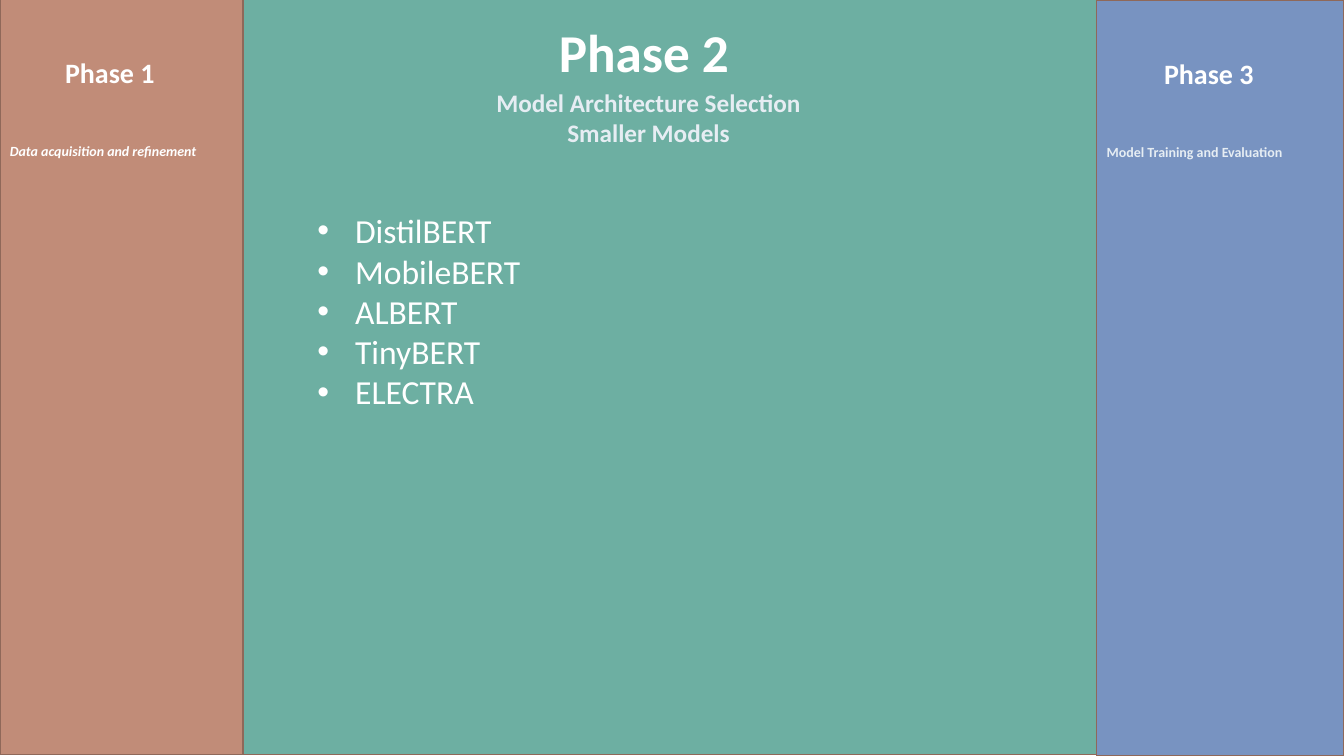
import pptx
import pptx.util
import pptx.dml.color
import pptx.enum.shapes
import pptx.enum.text
import pptx.oxml.ns
from lxml import etree

Cm, Pt = pptx.util.Cm, pptx.util.Pt
RGBColor = pptx.dml.color.RGBColor
ALIGN = pptx.enum.text.PP_ALIGN
FONT = "Calibri"

CLAY = RGBColor(0xC1, 0x8C, 0x78)
TEAL = RGBColor(0x6D, 0xAF, 0xA2)
BLUE = RGBColor(0x78, 0x93, 0xC1)
OUTLINE = RGBColor(0x8F, 0x68, 0x59)
WHITE = RGBColor(0xFF, 0xFF, 0xFF)
MIST = RGBColor(0xE6, 0xED, 0xF3)

MODELS = ["DistilBERT", "MobileBERT", "ALBERT", "TinyBERT", "ELECTRA"]


def add_panel(s, box, fill):
    sp = s.shapes.add_shape(pptx.enum.shapes.MSO_SHAPE.RECTANGLE,
                            *[Cm(v) for v in box])
    sp.shadow.inherit = False
    sp.fill.solid()
    sp.fill.fore_color.rgb = fill
    sp.line.color.rgb = OUTLINE
    sp.line.width = Pt(1)


def add_bullet(p):
    pPr = p._p.get_or_add_pPr()
    pPr.set("marL", str(Cm(0.95)))
    pPr.set("indent", str(-Cm(0.95)))
    font = etree.SubElement(pPr, pptx.oxml.ns.qn("a:buFont"))
    font.set("typeface", "Arial")
    etree.SubElement(pPr, pptx.oxml.ns.qn("a:buChar")).set("char", "•")


def add_text(s, box, lines, size, color=WHITE, bold=True, italic=False,
             align=ALIGN.CENTER, bullets=False):
    tf = s.shapes.add_textbox(*[Cm(v) for v in box]).text_frame
    tf.word_wrap = True
    tf.text = "\n".join(lines)
    for p in tf.paragraphs:
        if bullets:
            add_bullet(p)
        p.alignment = align
        for r in p.runs:
            r.font.name = FONT
            r.font.size = Pt(size)
            r.font.bold = bold
            r.font.italic = italic
            r.font.color.rgb = color


def add_side_phase(s, box, fill, title, caption, color, italic=False):
    left, top, width, height = box
    add_panel(s, box, fill)
    add_text(s, (left, top + 1.3, width - 0.58, 1.12), [title], 20)
    add_text(s, (left, top + 3.5, width, 0.68), [caption], 10, color,
             italic=italic, align=ALIGN.LEFT)


def add_main_phase(s, box, fill, title, subtitle, items):
    left, top, width, height = box
    add_panel(s, box, fill)
    add_text(s, (left, top + 0.4, width - 1.3, 1.88), [title], 38)
    add_text(s, (left, top + 2.1, width - 1.07, 1.8), subtitle, 18, MIST)
    add_text(s, (left + 1.63, top + 5.2, width - 2.19, 5.38), items, 24,
             bold=False, align=ALIGN.LEFT, bullets=True)


def main():
    prs = pptx.Presentation()
    prs.slide_width, prs.slide_height = Cm(33.87), Cm(19.05)
    s = prs.slides.add_slide(prs.slide_layouts[6])
    add_side_phase(s, (0, -0.03, 6.12, 19.05), CLAY, "Phase 1",
                   "Data acquisition and refinement", WHITE, italic=True)
    add_main_phase(s, (6.12, -0.03, 21.52, 19.05), TEAL, "Phase 2",
                   ["Model Architecture Selection", "Smaller Models"], MODELS)
    add_side_phase(s, (27.64, 0, 6.23, 19.05), BLUE, "Phase 3",
                   "Model Training and Evaluation", MIST)
    prs.save("out.pptx")


if __name__ == "__main__":
    main()
